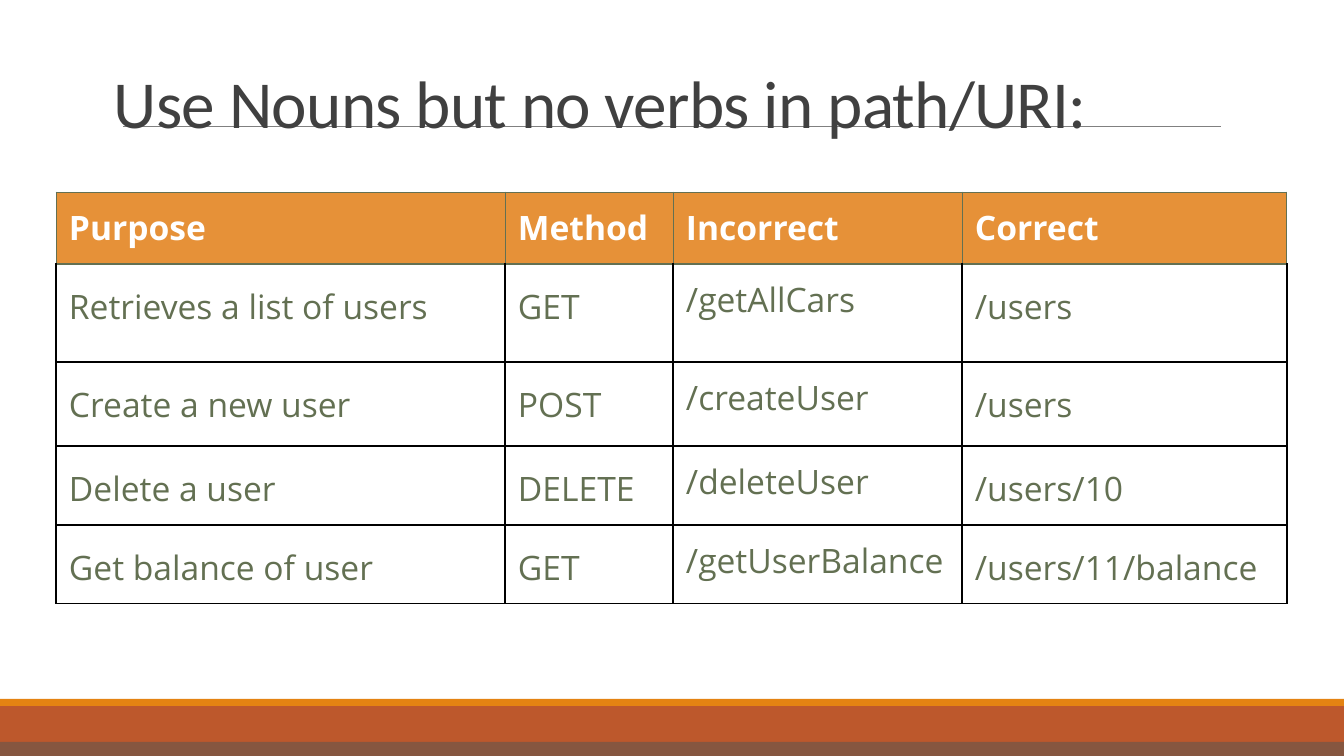
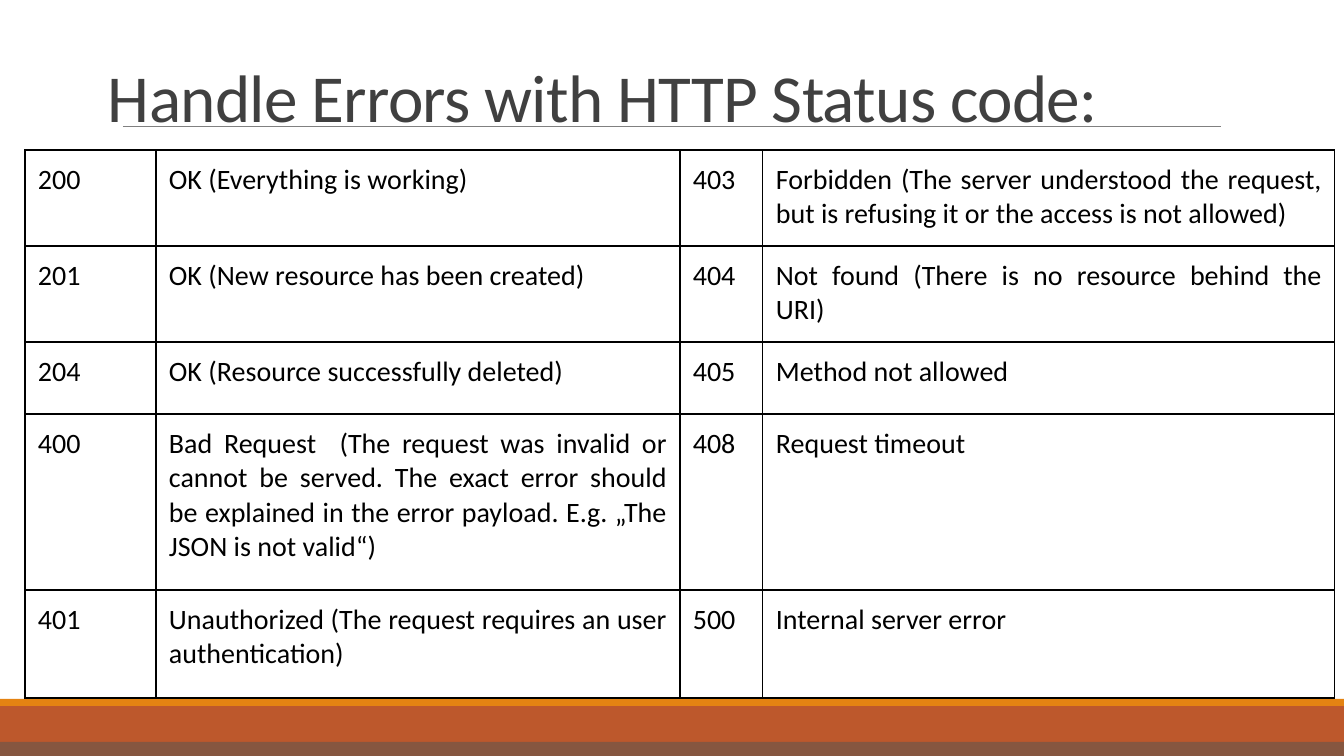
from lxml import etree
from pptx import Presentation
from pptx import util as u
from pptx.dml import color
from pptx.enum import shapes, text
from pptx.oxml import ns

SLIDE_WIDTH, SLIDE_HEIGHT = 1344, 756
SCALE = 12192000 / SLIDE_WIDTH  # EMU per px
INSET = 13

COLORS = {
    "title": "404040",
    "rule": "808080",
    "accent": "E48312",
    "band": "BD582C",
    "base": "865640",
    "header": "E69138",
    "olive": "637052",
    "white": "FFFFFF",
    "black": "000000",
}

# Footer bands: colour, top, height
BANDS = [("band", 706, 50), ("accent", 699, 7), ("base", 742, 14)]

METHODS = [
    ("Purpose", "Method", "Incorrect", "Correct"),
    ("Retrieves a list of users", "GET", "/getAllCars", "/users"),
    ("Create a new user", "POST", "/createUser", "/users"),
    ("Delete a user", "DELETE", "/deleteUser", "/users/10"),
    ("Get balance of user", "GET", "/getUserBalance", "/users/11/balance"),
]
INCORRECT_COLUMN = 2

STATUS_CODES = [
    ("200", "OK (Everything is working)", "403",
     "Forbidden (The server understood the request, but is refusing it "
     "or the access is not allowed)"),
    ("201", "OK (New resource has been created)", "404",
     "Not found (There is no resource behind the URI)"),
    ("204", "OK (Resource successfully deleted)", "405", "Method not allowed"),
    ("400", "Bad Request  (The request was invalid or cannot be served. "
     "The exact error should be explained in the error payload. "
     "E.g. „The JSON is not valid“)", "408", "Request timeout"),
    ("401", "Unauthorized (The request requires an user authentication)",
     "500", "Internal server error"),
]


def px(length):
    return u.Emu(round(length * SCALE))


def rgb(name):
    return color.RGBColor.from_string(COLORS[name])


def add_run(paragraph, words, size, font, ink, bold=False):
    run = paragraph.add_run()
    run.text = words
    run.font.size = u.Pt(size)
    run.font.name = font
    run.font.bold = bold
    run.font.color.rgb = rgb(ink)
    return run


def set_insets(frame):
    frame.margin_left = frame.margin_right = px(INSET)
    frame.margin_top = frame.margin_bottom = px(INSET)


# Shared frame: footer bands and the rule under the title
def add_frame(slide):
    for name, top, height in BANDS:
        band = slide.shapes.add_shape(shapes.MSO_SHAPE.RECTANGLE, 0, px(top),
                                      px(SLIDE_WIDTH), px(height))
        band.shadow.inherit = False
        band.fill.solid()
        band.fill.fore_color.rgb = rgb(name)
        band.line.fill.background()
    rule = slide.shapes.add_connector(shapes.MSO_CONNECTOR.STRAIGHT,
                                      px(123), px(126), px(1221), px(126))
    rule.line.color.rgb = rgb("rule")
    rule.line.width = u.Pt(0.5)
    etree.SubElement(rule._element.spPr, ns.qn("a:effectLst"))


def add_title(slide, words, left, top):
    box = slide.shapes.add_textbox(px(left), px(top), px(1252), px(104))
    frame = box.text_frame
    frame.word_wrap = True
    frame.vertical_anchor = text.MSO_ANCHOR.MIDDLE
    set_insets(frame)
    paragraph = frame.paragraphs[0]
    paragraph.line_spacing = 0.85
    run = add_run(paragraph, words, 48, "Calibri", "title")
    run.font._element.set("spc", "-50")


def set_borders(cell, ink, width, top_ink=None):
    properties = cell._tc.get_or_add_tcPr()
    for index, side in enumerate("LRTB"):
        line = etree.Element(ns.qn(f"a:ln{side}"), w=str(u.Pt(width)))
        fill = etree.SubElement(line, ns.qn("a:solidFill"))
        side_ink = top_ink if side == "T" and top_ink else ink
        etree.SubElement(fill, ns.qn("a:srgbClr"), val=COLORS[side_ink])
        properties.insert(index, line)


# Plain grid; style_cell writes the words and look of each cell
def add_grid(slide, left, top, widths, heights, rows, style_cell):
    table = slide.shapes.add_table(len(heights), len(widths), px(left), px(top),
                                   px(sum(widths)), px(sum(heights))).table
    table.first_row = table.horz_banding = False
    for column, width in zip(table.columns, widths):
        column.width = px(width)
    for row, height in zip(table.rows, heights):
        row.height = px(height)
    for row_index, row in enumerate(rows):
        for column_index, words in enumerate(row):
            cell = table.cell(row_index, column_index)
            set_insets(cell)
            cell.fill.background()
            style_cell(cell, words, row_index, column_index)


def style_method_cell(cell, words, row, column):
    paragraph = cell.text_frame.paragraphs[0]
    if row == 0:
        cell.fill.solid()
        cell.fill.fore_color.rgb = rgb("header")
        set_borders(cell, "olive", 0.75)
        add_run(paragraph, words, 24, "Open Sans", "white", bold=True)
        return
    set_borders(cell, "black", 1, top_ink="olive" if row == 1 else None)
    if column != INCORRECT_COLUMN:
        paragraph.line_spacing = 1.15
    add_run(paragraph, words, 24, "Open Sans", "olive")


def style_status_cell(cell, words, row, column):
    set_borders(cell, "black", 1)
    paragraph = cell.text_frame.paragraphs[0]
    paragraph.alignment = text.PP_ALIGN.JUSTIFY
    add_run(paragraph, words, 20, "Calibri", "black")


def add_slide(presentation):
    slide = presentation.slides.add_slide(presentation.slide_layouts[6])
    add_frame(slide)
    return slide


def build_nouns_slide(presentation):
    slide = add_slide(presentation)
    add_title(slide, "Use Nouns but no verbs in path/URI:", 101, 56)
    add_grid(slide, 56, 192, [449, 168, 289, 325], [72, 98, 84, 79, 79],
             METHODS, style_method_cell)


def build_status_slide(presentation):
    slide = add_slide(presentation)
    add_title(slide, "Handle Errors with HTTP Status code:", 95, 50)
    add_grid(slide, 25, 150, [131, 524, 83, 572], [96, 96, 72, 176, 108],
             STATUS_CODES, style_status_cell)


def main():
    presentation = Presentation()
    presentation.slide_width = px(SLIDE_WIDTH)
    presentation.slide_height = px(SLIDE_HEIGHT)
    build_nouns_slide(presentation)
    build_status_slide(presentation)
    presentation.save("out.pptx")


if __name__ == "__main__":
    main()
